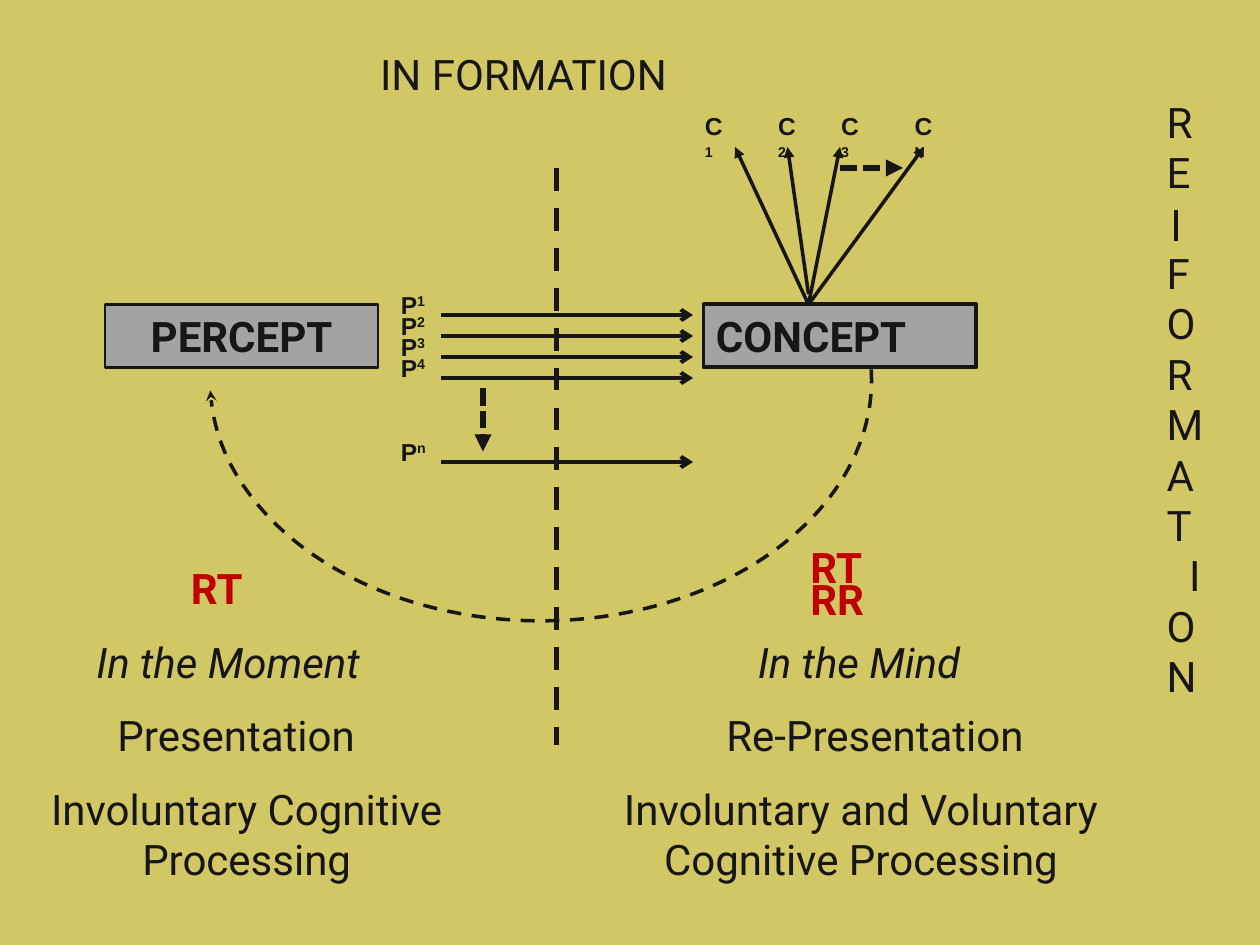
import collections

import lxml.etree
import pptx
import pptx.dml.color
import pptx.enum.dml
import pptx.enum.shapes
import pptx.enum.text
import pptx.oxml.ns
import pptx.util

PX = 9525
BACKGROUND = pptx.dml.color.RGBColor(0xD2, 0xC7, 0x65)
INK = pptx.dml.color.RGBColor(0x16, 0x16, 0x16)
GREY = pptx.dml.color.RGBColor(0xA3, 0xA3, 0xA3)
RED = pptx.dml.color.RGBColor(0xC0, 0x00, 0x00)
DASH = pptx.enum.dml.MSO_LINE.DASH
SHORT_DASH = pptx.enum.dml.MSO_LINE.SQUARE_DOT
LEFT = pptx.enum.text.PP_ALIGN.LEFT
CENTER = pptx.enum.text.PP_ALIGN.CENTER

Box = collections.namedtuple("Box", "left top width height")


def emu(*lengths):
    return [pptx.util.Emu(length * PX) for length in lengths]


def inside(box, left, top, width, height):
    return Box(box.left + left, box.top + top, width, height)


def prepare_frame(shape):
    frame = shape.text_frame
    frame.word_wrap = True
    frame.auto_size = pptx.enum.text.MSO_AUTO_SIZE.SHAPE_TO_FIT_TEXT
    return frame


def add_run(paragraph, text, size=24, font="Roboto", color=INK, bold=False, italic=False):
    run = paragraph.add_run()
    run.text = text
    run.font.name = font
    run.font.size = pptx.util.Pt(size)
    run.font.bold = bold
    run.font.italic = italic
    run.font.color.rgb = color
    return run


def add_text(slide, box, text, align=LEFT, **style):
    shape = slide.shapes.add_textbox(*emu(*box))
    paragraph = prepare_frame(shape).paragraphs[0]
    paragraph.alignment = align
    add_run(paragraph, text, **style)


def add_indexed_label(slide, box, letter, index):
    shape = slide.shapes.add_textbox(*emu(*box))
    paragraph = prepare_frame(shape).paragraphs[0]
    add_run(paragraph, letter, 14, "Arial", bold=True)
    run = add_run(paragraph, index, 14, "Arial", bold=True)
    run.font._element.set("baseline", "30000")
    return shape


def turn_upright(shape):
    shape.rotation = 270
    shape.text_frame._txBody.bodyPr.set("vert", "vert")


def style_line(shape, width, dash=None, arrow=None):
    shape.line.color.rgb = INK
    shape.line.width = pptx.util.Pt(width)
    if dash is not None:
        shape.line.dash_style = dash
    properties = shape._element.spPr
    if arrow:
        outline = properties.find(pptx.oxml.ns.qn("a:ln"))
        lxml.etree.SubElement(outline, pptx.oxml.ns.qn("a:tailEnd"), type=arrow)
    lxml.etree.SubElement(properties, pptx.oxml.ns.qn("a:effectLst"))


def add_line(slide, start, end, width, dash=None, arrow=None):
    connector = slide.shapes.add_connector(
        pptx.enum.shapes.MSO_CONNECTOR.STRAIGHT, *emu(*start, *end))
    style_line(connector, width, dash, arrow)


def add_title(slide, box):
    title = slide.shapes.title
    title.left, title.top, title.width, title.height = emu(*box)
    frame = prepare_frame(title)
    frame.vertical_anchor = pptx.enum.text.MSO_ANCHOR.TOP
    paragraph = frame.paragraphs[0]
    paragraph.alignment = LEFT
    add_run(paragraph, "IN FORMATION")


def add_node(slide, box, text, align, line_width):
    shape = slide.shapes.add_shape(pptx.enum.shapes.MSO_SHAPE.RECTANGLE, *emu(*box))
    shape.fill.solid()
    shape.fill.fore_color.rgb = GREY
    style_line(shape, line_width)
    paragraph = prepare_frame(shape).paragraphs[0]
    paragraph.alignment = align
    add_run(paragraph, text, bold=True)


def add_percept_arrows(slide, box):
    right = box.left + box.width
    for index, offset in zip("1234n", (0, 16, 32, 48, 112)):
        y = box.top + 24 + offset
        add_line(slide, (box.left + 40, y), (right, y), 2.25, arrow="arrow")
        add_indexed_label(slide, inside(box, 0, offset, 48, 33), "P", index)
    x = box.left + 72
    add_line(slide, (x, box.top + 80), (x, box.top + 128), 3.25, SHORT_DASH, "triangle")


def add_concept_fan(slide, box):
    tip_y, bottom = box.top + 28, box.top + box.height
    for index, label, tip, lift in (
            ("1", 0, 37, 0), ("2", 56, 77, 8), ("3", 104, 117, 0), ("N", 160, 181, 0)):
        add_line(slide, (box.left + 93, bottom - lift), (box.left + tip, tip_y),
                 2, arrow="triangle")
        turn_upright(add_indexed_label(slide, inside(box, label, 0, 42, 33), "C", index))
    y = box.top + 44
    add_line(slide, (box.left + 117, y), (box.left + 165, y), 3.25, SHORT_DASH, "triangle")


def add_feedback_arc(slide, box):
    arc = slide.shapes.add_shape(pptx.enum.shapes.MSO_SHAPE.ARC, *emu(*box))
    arc.adjustments[0] = 106.89
    arc.adjustments[1] = 214.91
    arc.rotation = 180
    arc.fill.background()
    style_line(arc, 2, DASH, "stealth")


def add_reiformation(slide, box):
    left = box.left + (box.width - box.height) // 2
    top = box.top + (box.height - box.width) // 2
    shape = slide.shapes.add_textbox(*emu(left, top, box.height, box.width))
    turn_upright(shape)
    frame = prepare_frame(shape)
    for number, text in enumerate(("R E", "FORMAT", "I", "ON")):
        paragraph = frame.paragraphs[0] if number == 0 else frame.add_paragraph()
        add_run(paragraph, text)
        if text == "FORMAT":
            paragraph.space_before = pptx.util.Pt(28.8)
        if text == "I":
            paragraph._p.get_or_add_pPr().set("marL", str(17 * PX))
    x = box.left + 16
    add_line(slide, (x, box.top + 91), (x, box.top + 115), 2)


def add_captions(slide, box, captions):
    for offset, top, width, height, text, style in captions:
        add_text(slide, inside(box, offset, top, width, height), text, **style)


def main():
    presentation = pptx.Presentation()
    presentation.slide_width, presentation.slide_height = emu(960, 720)
    slide = presentation.slides.add_slide(presentation.slide_layouts[5])
    slide.background.fill.solid()
    slide.background.fill.fore_color.rgb = BACKGROUND

    add_line(slide, (424, 128), (424, 568), 3.25, DASH)
    add_title(slide, Box(280, 32, 320, 48))
    add_node(slide, Box(80, 232, 208, 48), "PERCEPT", CENTER, 1.5)
    add_node(slide, Box(536, 232, 208, 48), "CONCEPT", LEFT, 2.25)
    add_percept_arrows(slide, Box(296, 216, 232, 145))
    add_concept_fan(slide, Box(523, 84, 202, 148))
    add_reiformation(slide, Box(880, 69, 48, 485))
    add_feedback_arc(slide, Box(160, 106, 504, 367))

    mark = {"color": RED, "bold": True}
    italic = {"italic": True}
    centered = {"align": CENTER}
    add_captions(slide, Box(24, 408, 328, 271), (
        (112, 16, 96, 48, "RT", mark),
        (40, 72, 240, 48, "In the Moment", italic),
        (56, 128, 208, 48, "Presentation", {}),
        (0, 184, 328, 87, "Involuntary Cognitive Processing", centered)))
    add_captions(slide, Box(456, 408, 400, 271), (
        (152, 0, 96, 48, "RT", mark),
        (152, 24, 96, 48, "RR", mark),
        (112, 72, 208, 48, "In the Mind", italic),
        (88, 128, 256, 48, "Re-Presentation", {}),
        (0, 184, 400, 87, "Involuntary and Voluntary Cognitive Processing", centered)))
    presentation.save("out.pptx")


if __name__ == "__main__":
    main()
